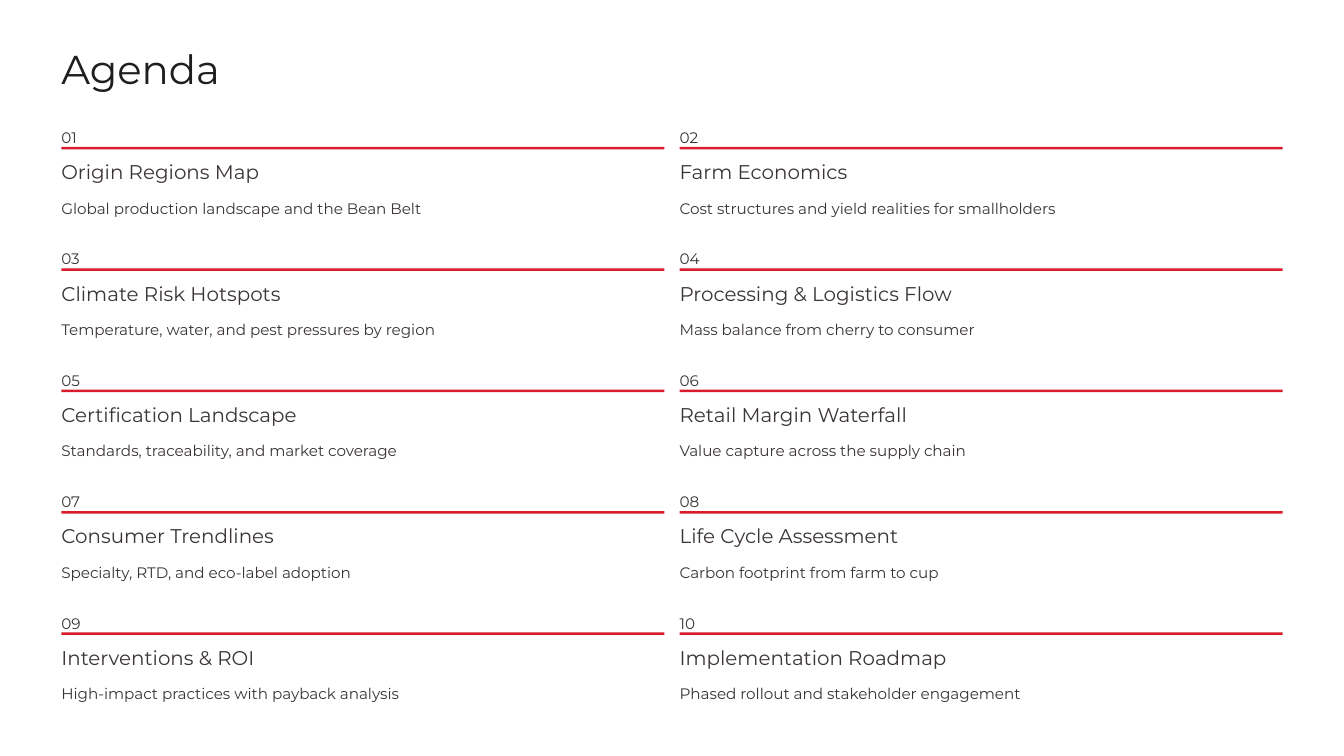
from pptx import Presentation
from pptx.dml.color import RGBColor
from pptx.enum.shapes import MSO_SHAPE
from pptx.enum.text import MSO_ANCHOR, PP_ALIGN
from pptx.util import Pt

RECTANGLE = MSO_SHAPE.RECTANGLE
TOP = MSO_ANCHOR.TOP
LEFT = PP_ALIGN.LEFT

PX = 9144  # 100 px to the inch
FONT = "Montserrat"
COLORS = {"paper": "FFFFFF", "title": "1F1E1E", "body": "3B3535", "rule": "DA1B2E"}

COLUMNS = 2
CELL_HEIGHT = 113
COLUMN_GAP = 18
TITLE_BOX = (73, 50, 480, 60)
AGENDA_BOX = (73, 146, 1454, 691)

TOPICS = [
    ("Origin Regions Map", "Global production landscape and the Bean Belt"),
    ("Farm Economics", "Cost structures and yield realities for smallholders"),
    ("Climate Risk Hotspots", "Temperature, water, and pest pressures by region"),
    ("Processing & Logistics Flow", "Mass balance from cherry to consumer"),
    ("Certification Landscape", "Standards, traceability, and market coverage"),
    ("Retail Margin Waterfall", "Value capture across the supply chain"),
    ("Consumer Trendlines", "Specialty, RTD, and eco-label adoption"),
    ("Life Cycle Assessment", "Carbon footprint from farm to cup"),
    ("Interventions & ROI", "High-impact practices with payback analysis"),
    ("Implementation Roadmap", "Phased rollout and stakeholder engagement"),
]


def emu(box):
    return [round(length * PX) for length in box]


def color(name):
    return RGBColor.from_string(COLORS[name])


def add_text(slide, box, text, size, line_spacing, color_name="body"):
    frame = slide.shapes.add_textbox(*emu(box)).text_frame
    frame.margin_left = frame.margin_right = 0
    frame.margin_top = frame.margin_bottom = 0
    frame.word_wrap = False
    frame.vertical_anchor = TOP
    para = frame.paragraphs[0]
    para.alignment = LEFT
    para.line_spacing = Pt(line_spacing)
    span = para.add_run()
    span.text = text
    span.font.name = FONT
    span.font.size = Pt(size)
    span.font.color.rgb = color(color_name)


def add_rule(slide, box):
    rule = slide.shapes.add_shape(RECTANGLE, *emu(box))
    rule.shadow.inherit = False
    rule.fill.solid()
    rule.fill.fore_color.rgb = color("rule")
    rule.line.fill.background()


def add_topic(slide, box, number, heading, summary):
    left, top, width, _ = box
    add_text(slide, (left, top, 30, 23), f"{number:02d}", 13, 20.5)
    add_rule(slide, (left, top + 29, width, 3))
    add_text(slide, (left, top + 43, 341, 30), heading, 17, 21.5)
    add_text(slide, (left, top + 84, width, 29), summary, 13, 20.5)


def add_agenda(slide, box):
    left, top, width, height = box
    rows = len(TOPICS) // COLUMNS
    cell_width = (width - COLUMN_GAP * (COLUMNS - 1)) / COLUMNS
    row_pitch = (height - CELL_HEIGHT) / (rows - 1)
    for index, (heading, summary) in enumerate(TOPICS):
        row, column = divmod(index, COLUMNS)
        cell = (left + column * (cell_width + COLUMN_GAP), top + row * row_pitch,
                cell_width, CELL_HEIGHT)
        add_topic(slide, cell, index + 1, heading, summary)


def main():
    deck = Presentation()
    deck.slide_width, deck.slide_height = emu((1600, 900))
    slide = deck.slides.add_slide(deck.slide_layouts[6])
    slide.background.fill.solid()
    slide.background.fill.fore_color.rgb = color("paper")

    # Title
    add_text(slide, TITLE_BOX, "Agenda", 34.5, 43, "title")

    # Numbered topics in two columns
    add_agenda(slide, AGENDA_BOX)

    deck.save("out.pptx")


if __name__ == "__main__":
    main()
